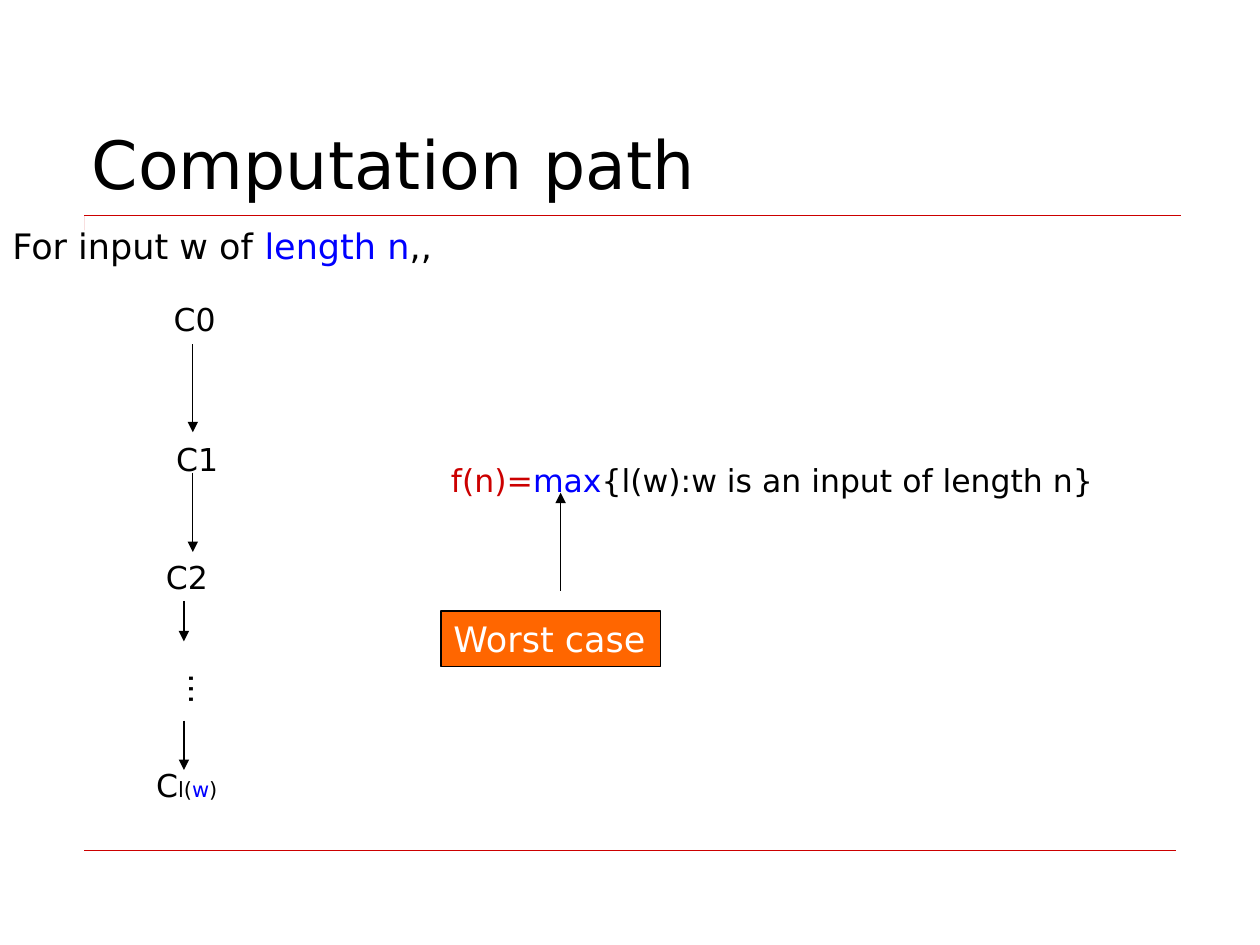
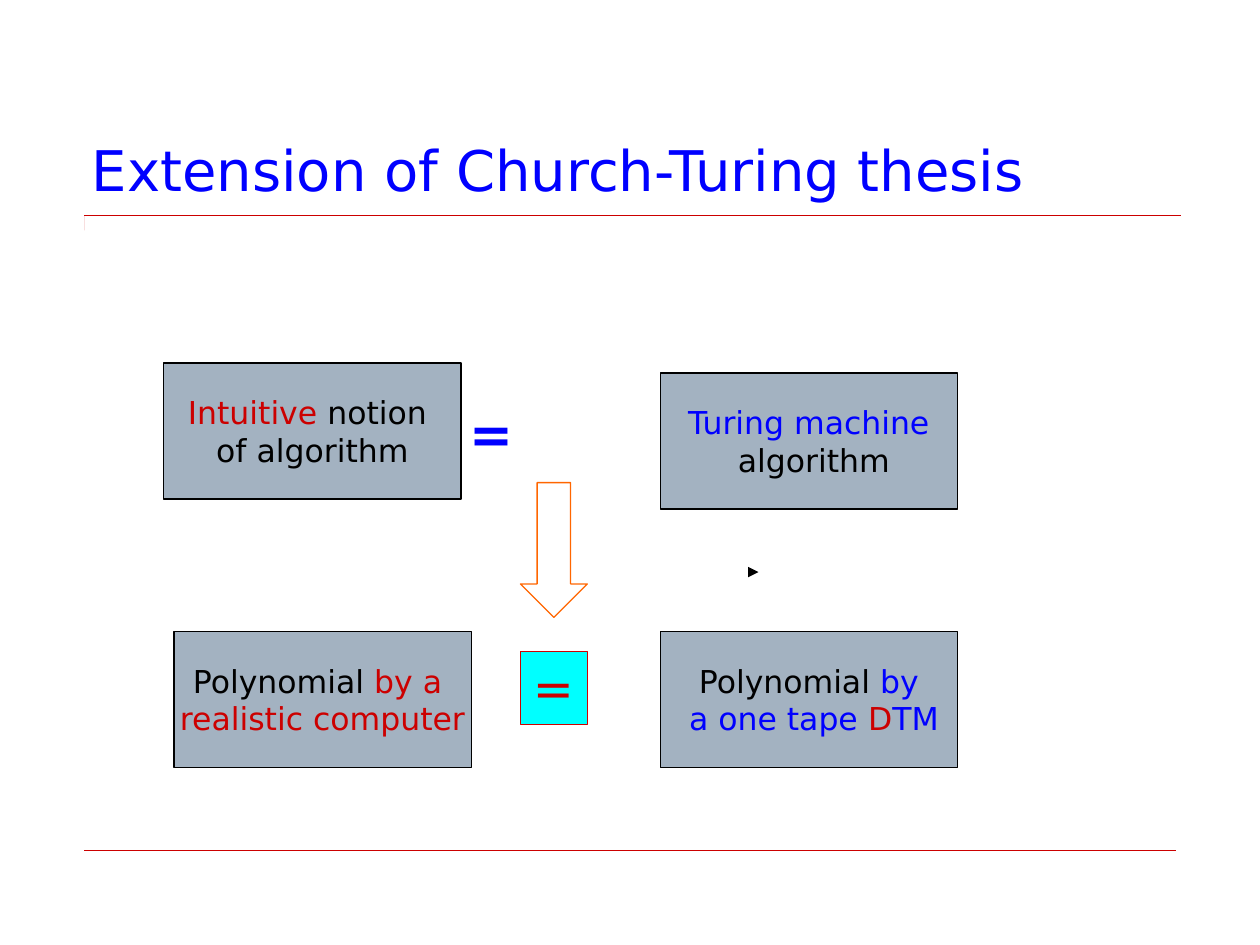
from pptx import Presentation
from pptx import util as u
from pptx.dml.color import RGBColor
from pptx.enum import shapes, text
from pptx.oxml.ns import qn
from lxml import etree

FONT = "DejaVu Sans"
BLACK = RGBColor(0, 0, 0)
WHITE = RGBColor(255, 255, 255)
RED = RGBColor(0xCC, 0, 0)
BLUE = RGBColor(0, 0, 255)
ORANGE = RGBColor(0xFF, 0x66, 0)
CYAN = RGBColor(0, 255, 255)
STEEL = RGBColor(0xA3, 0xB2, 0xC1)

PATH_TITLE = ("Computation path", 38, BLACK)
THESIS_TITLE = ("Extension of Church-Turing thesis", 32, BLUE)

PATH_LABELS = [
    ((92.2, 167.8, 38.9, 28.8), 18, [("C0", BLACK)]),
    ((93.6, 247.7, 38.9, 28.8), 18, [("C1", BLACK)]),
    ((87.8, 315.4, 38.9, 28.8), 18, [("C2", BLACK)]),
    ((82.1, 434.2, 51.1, 28.8), 18,
     [("C", BLACK), ("l(", BLACK, 12), ("w", BLUE, 12), (")", BLACK, 12)]),
    ((0, 124.6, 258.5, 31), 20,
     [("For input w of ", BLACK), ("length n", BLUE), (",,", BLACK)]),
    ((250.6, 259.9, 390.2, 28.8), 18,
     [("f(n)=", RED), ("max", BLUE), ("{l(w):w is an input of length n}", BLACK)]),
]
ELLIPSIS = ((93.6, 378, 36, 25.2), 18, [("…", BLACK)])
WORST_CASE = ((252, 349.2, 125.3, 31.7), 20, [("Worst case", WHITE)])
PATH_ARROWS = [(110.2, 196.6, 247), (110.2, 270, 315.4), (105.1, 343.4, 366.5),
               (105.1, 411.8, 440), (320.4, 337.7, 281.5)]

BOX_SIZE = (169.9, 77.8)
THESIS_BOXES = [
    ((93.6, 207.4), [[("Intuitive", RED), (" notion ", BLACK)],
                     [("of algorithm", BLACK)]]),
    ((377.3, 213.1), [[("Turing machine", BLUE)], [(" algorithm", BLACK)]]),
    ((99.4, 360.7), [[("Polynomial ", BLACK), ("by a ", RED)],
                     [("realistic computer", RED)]]),
    ((377.3, 360.7), [[("Polynomial", BLACK), (" by", BLUE)],
                      [(" a one tape ", BLUE), ("D", RED), ("TM", BLUE)]]),
]
UPPER_EQUALS = ((261, 225.5, 40, 42), 30, [("=", BLUE)])
LOWER_EQUALS = ((297.4, 372.2, 38.2, 41.8), 28, [("=", RED)])


def pts(values):
    return [u.Pt(v) for v in values]


def write(sp, lines, size, align=text.PP_ALIGN.LEFT,
          anchor=text.MSO_ANCHOR.TOP, wrap=False, bold=False):
    tf = sp.text_frame
    tf.word_wrap = wrap
    tf.vertical_anchor = anchor
    for i, runs in enumerate(lines):
        p = tf.paragraphs[0] if i == 0 else tf.add_paragraph()
        p.alignment = align
        p.font.name = FONT
        p.font.size = u.Pt(size)
        p.font.bold = bold
        for words, colour, *own_size in runs:
            r = p.add_run()
            r.text = words
            r.font.color.rgb = colour
            if own_size:
                r.font.size = u.Pt(own_size[0])


def label(s, at, size, runs, **style):
    sp = s.shapes.add_textbox(*pts(at))
    write(sp, [runs], size, **style)
    return sp


def shape(s, kind, at, fill, line):
    sp = s.shapes.add_shape(kind, *pts(at))
    sp.shadow.inherit = False
    if fill is None:
        sp.fill.background()
    else:
        sp.fill.solid()
        sp.fill.fore_color.rgb = fill
    if line is None:
        sp.line.fill.background()
    else:
        sp.line.color.rgb = line
        sp.line.width = u.Pt(0.75)
    return sp


def rule(s, ends, colour=BLACK, width=0.75, arrow=False):
    c = s.shapes.add_connector(shapes.MSO_CONNECTOR.STRAIGHT, *pts(ends))
    c.line.color.rgb = colour
    c.line.width = u.Pt(width)
    if arrow:
        etree.SubElement(c.line._get_or_add_ln(), qn("a:tailEnd"), type="triangle")
    etree.SubElement(c._element.spPr, qn("a:effectLst"))


def new_slide(prs, title):
    s = prs.slides.add_slide(prs.slide_layouts[6])
    shape(s, RECT, (48.2, 123.1, 0.1, 8.6), RED, None)
    rule(s, (48.2, 123.1, 674.6, 123.1), RED)
    rule(s, (48.2, 486, 671.8, 486), RED, 0.25)
    words, size, colour = title
    label(s, (45.4, 23.8, 630, 95.8), size, [(words, colour)],
          anchor=text.MSO_ANCHOR.BOTTOM, wrap=True)
    return s


def path_slide(prs):
    s = new_slide(prs, PATH_TITLE)
    for at, size, runs in PATH_LABELS:
        label(s, at, size, runs)
    dots = label(s, *ELLIPSIS)
    dots.text_frame._txBody.bodyPr.set("vert", "vert")
    at, size, runs = WORST_CASE
    write(shape(s, RECT, at, ORANGE, BLACK), [runs], size)
    for x, start, end in PATH_ARROWS:
        rule(s, (x, start, x, end), arrow=True)


def thesis_slide(prs):
    s = new_slide(prs, THESIS_TITLE)
    label(s, *UPPER_EQUALS, bold=True)
    for corner, lines in THESIS_BOXES:
        write(shape(s, RECT, corner + BOX_SIZE, STEEL, BLACK), lines, 18,
              text.PP_ALIGN.CENTER, text.MSO_ANCHOR.MIDDLE)
    rule(s, (427.7, 326.9, 433.4, 326.9), arrow=True)
    at, size, runs = LOWER_EQUALS
    write(shape(s, RECT, at, CYAN, RED), [runs], size)
    shape(s, shapes.MSO_SHAPE.DOWN_ARROW, (297.4, 275.8, 38.2, 77), None, ORANGE)


RECT = shapes.MSO_SHAPE.RECTANGLE


def main():
    prs = Presentation()
    prs.slide_width, prs.slide_height = u.Pt(720), u.Pt(540)
    path_slide(prs)
    thesis_slide(prs)
    prs.save("out.pptx")


if __name__ == "__main__":
    main()
